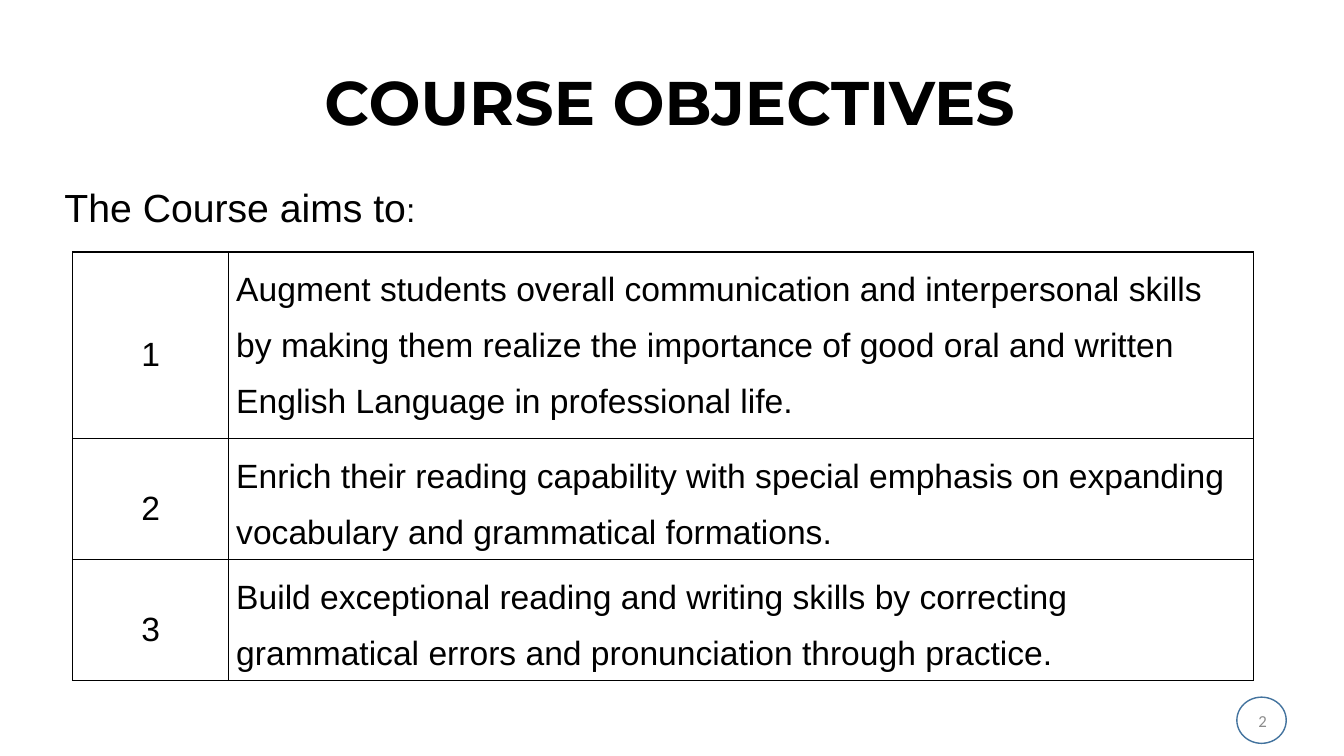
from lxml import etree
from pptx import Presentation
from pptx.dml.color import RGBColor
from pptx.enum.shapes import MSO_SHAPE as Shape
from pptx.enum.text import MSO_ANCHOR as Anchor, PP_ALIGN as Align
from pptx.oxml.ns import qn
from pptx.util import Emu, Pt

PX = 9525  # EMU per px, 96 px to the inch
BLACK = RGBColor(0x00, 0x00, 0x00)
GREY = RGBColor(0x8C, 0x8C, 0x8C)
BLUE = RGBColor(0x43, 0x73, 0x9E)

OBJECTIVES = [
    "Augment students overall communication and interpersonal skills by making them realize "
    "the importance of good oral and written English Language in professional life.",
    "Enrich their reading capability with special emphasis on expanding vocabulary and "
    "grammatical formations.",
    "Build exceptional reading and writing skills by correcting grammatical errors and "
    "pronunciation through practice.",
]
COLUMN_WIDTHS = [149, 976]
ROW_HEIGHTS = [178, 115, 115]


def px(*lengths):
    return [Emu(length * PX) for length in lengths]


def set_font(font, name, size, color=BLACK, bold=False):
    font.name, font.size, font.bold = name, Pt(size), bold
    font.color.rgb = color


def add_title(slide, box):
    title = slide.shapes.title
    title.left, title.top, title.width, title.height = px(*box)
    frame = title.text_frame
    frame.text = "COURSE OBJECTIVES"
    frame.vertical_anchor = Anchor.TOP
    heading = frame.paragraphs[0]
    heading.alignment = Align.CENTER
    heading.line_spacing = 0.9
    set_font(heading.font, "Montserrat", 44, bold=True)


def add_lead_in(slide, box):
    frame = slide.shapes.add_textbox(*px(*box)).text_frame
    frame.word_wrap = False
    lead_in = frame.paragraphs[0]
    lead_in.alignment = Align.LEFT
    for text, size in (("The Course aims to", 28), (":", 24)):
        run = lead_in.add_run()
        run.text = text
        set_font(run.font, "Arial", size)


def add_borders(cell):
    properties = cell._tc.get_or_add_tcPr()
    for side in ("lnL", "lnR", "lnT", "lnB"):
        line = etree.SubElement(properties, qn(f"a:{side}"), w=str(Pt(1)))
        fill = etree.SubElement(line, qn("a:solidFill"))
        etree.SubElement(fill, qn("a:srgbClr"), val=str(BLACK))


def fill_cell(cell, text, alignment, anchor):
    add_borders(cell)
    cell.fill.background()
    cell.margin_left, cell.margin_right, cell.margin_top, cell.margin_bottom = px(7, 7, 0, 0)
    cell.vertical_anchor = anchor
    cell.text = text
    paragraph = cell.text_frame.paragraphs[0]
    paragraph.alignment = alignment
    paragraph.line_spacing = 1.5
    set_font(paragraph.font, "Arial", 24)


def add_objectives(slide, left, top):
    box = px(left, top, sum(COLUMN_WIDTHS), sum(ROW_HEIGHTS))
    table = slide.shapes.add_table(len(OBJECTIVES), 2, *box).table
    table.first_row = table.horz_banding = False
    for column, width in zip(table.columns, px(*COLUMN_WIDTHS)):
        column.width = width
    for row, height in zip(table.rows, px(*ROW_HEIGHTS)):
        row.height = height
    for index, objective in enumerate(OBJECTIVES):
        fill_cell(table.cell(index, 0), str(index + 1), Align.CENTER, Anchor.MIDDLE)
        fill_cell(table.cell(index, 1), objective, Align.LEFT, Anchor.TOP)


def add_page_number(slide, left, top):
    # Number, right-aligned inside the ring
    frame = slide.shapes.add_textbox(*px(left - 250, top + 3, 288, 38)).text_frame
    frame.word_wrap = True
    frame.vertical_anchor = Anchor.MIDDLE
    number = frame.paragraphs[0]
    number.text = "2"
    number.alignment = Align.RIGHT
    set_font(number.font, "Calibri", 12, GREY)
    # Ring
    ring = slide.shapes.add_shape(Shape.OVAL, *px(left, top, 47, 44))
    ring.shadow.inherit = False
    ring.fill.background()
    ring.line.color.rgb = BLUE
    ring.line.width = Pt(1)


def main():
    deck = Presentation()
    deck.slide_width, deck.slide_height = px(1280, 720)
    slide = deck.slides.add_slide(deck.slide_layouts[5])
    add_title(slide, (228, 64, 820, 97))
    add_lead_in(slide, (52, 170, 358, 55))
    add_objectives(slide, 69, 240)
    add_page_number(slide, 1178, 664)
    deck.save("out.pptx")


if __name__ == "__main__":
    main()
